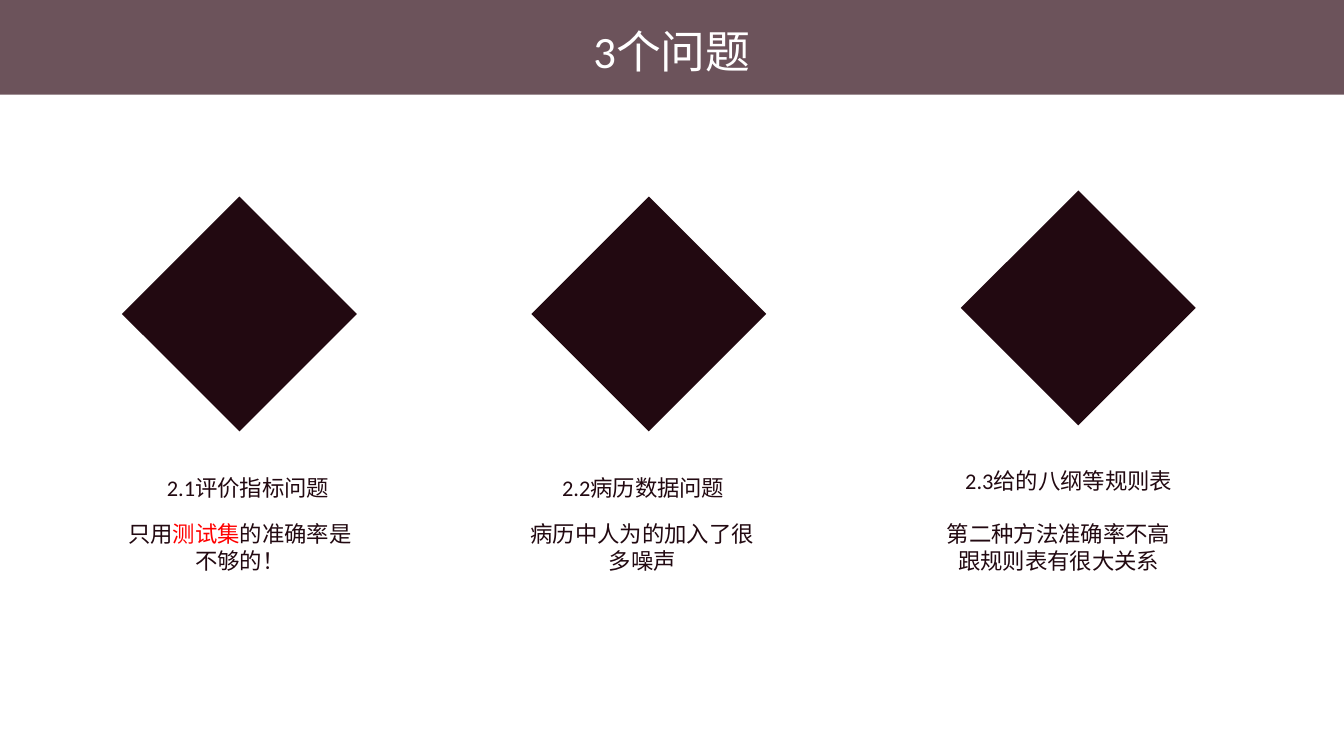
from dataclasses import dataclass

from lxml.etree import SubElement
from pptx import Presentation
from pptx.dml.color import RGBColor
from pptx.enum.shapes import MSO_SHAPE as Preset
from pptx.enum.text import MSO_ANCHOR as Anchor, PP_ALIGN as Align
from pptx.oxml.ns import qn
from pptx.util import Inches, Pt

COLORS = {"plum": "300D18", "dark": "220911", "white": "FFFFFF", "red": "FF0000"}
FONT = "Calibri"
SLIDE_W, SLIDE_H = 13.33, 7.5
HEADER_H = 0.94
DIAMOND_SIZE = 2.33
HEADING_W, HEADING_H = 2.52, 0.37
DETAIL_TOP, DETAIL_W, DETAIL_H = 5.11, 2.62, 0.64


@dataclass(frozen=True)
class Span:
    text: str
    color: str = "dark"


@dataclass(frozen=True)
class Problem:
    diamond_left: float
    diamond_top: float
    heading_left: float
    heading_top: float
    detail_left: float
    heading: str
    detail: tuple[Span, ...]


PROBLEMS = (
    Problem(1.21, 1.95, 1.2, 4.65, 1.07, "2.1评价指标问题",
            (Span("只用"), Span("测试集", "red"), Span("的准确率是不够的！"))),
    Problem(5.27, 1.95, 5.12, 4.65, 5.06, "2.2病历数据问题",
            (Span("病历中人为的加入了很多噪声"),)),
    Problem(9.53, 1.89, 9.34, 4.59, 9.19, "2.3给的八纲等规则表",
            (Span("第二种方法准确率不高跟规则表有很大关系"),)),
)


def add_block(slide, preset: Preset, left: float, top: float, width: float,
              height: float, color: str, opacity: int = 100) -> None:
    block = slide.shapes.add_shape(
        preset, Inches(left), Inches(top), Inches(width), Inches(height))
    block.shadow.inherit = False
    block.line.fill.background()
    block.fill.solid()
    block.fill.fore_color.rgb = RGBColor.from_string(COLORS[color])
    if opacity < 100:
        tint = block.fill._xPr.find(qn("a:solidFill"))[0]
        SubElement(tint, qn("a:alpha"), val=str(opacity * 1000))


def add_text(slide, left: float, top: float, width: float, height: float,
             spans: tuple[Span, ...], size: int = 16) -> None:
    frame = slide.shapes.add_textbox(
        Inches(left), Inches(top), Inches(width), Inches(height)).text_frame
    frame.word_wrap = True
    frame.vertical_anchor = Anchor.TOP
    paragraph = frame.paragraphs[0]
    paragraph.alignment = Align.CENTER
    for span in spans:
        run = paragraph.add_run()
        run.text = span.text
        run.font.name = FONT
        run.font.size = Pt(size)
        run.font.color.rgb = RGBColor.from_string(COLORS[span.color])


def add_problem(slide, problem: Problem) -> None:
    add_block(slide, Preset.DIAMOND, problem.diamond_left, problem.diamond_top,
              DIAMOND_SIZE, DIAMOND_SIZE, "dark")
    add_text(slide, problem.heading_left, problem.heading_top,
             HEADING_W, HEADING_H, (Span(problem.heading),))
    add_text(slide, problem.detail_left, DETAIL_TOP,
             DETAIL_W, DETAIL_H, problem.detail)


deck = Presentation()
deck.slide_width, deck.slide_height = Inches(SLIDE_W), Inches(SLIDE_H)
slide = deck.slides.add_slide(deck.slide_layouts[6])

add_block(slide, Preset.RECTANGLE, 0, 0, SLIDE_W, SLIDE_H, "plum", opacity=71)
add_block(slide, Preset.RECTANGLE, 0, HEADER_H, SLIDE_W, SLIDE_H - HEADER_H, "white")
add_text(slide, 3.44, 0.19, 6.45, 0.64, (Span("3个问题", "white"),), size=32)
for problem in PROBLEMS:
    add_problem(slide, problem)

deck.save("out.pptx")
